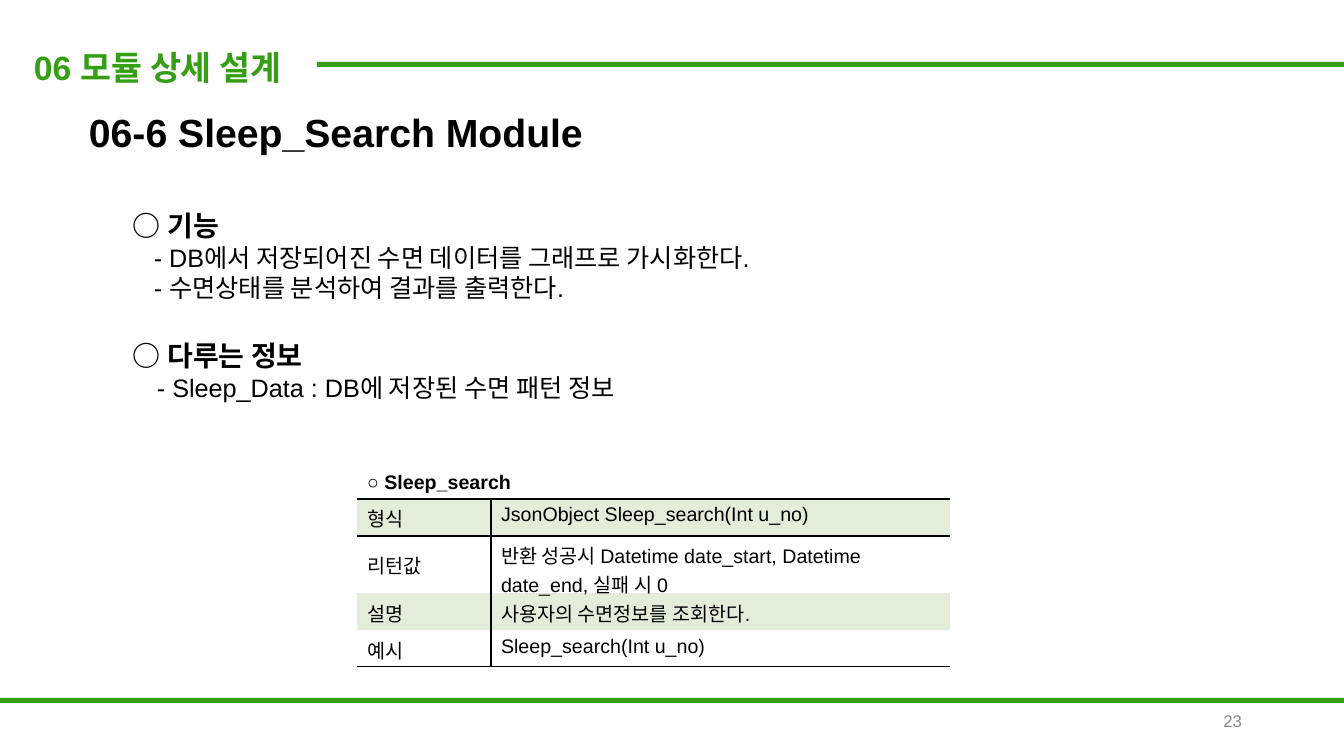
"""Builds the Sleep_Search module slide with its function notes and specification table."""
from lxml.etree import SubElement
from pptx import Presentation
from pptx.dml.color import RGBColor
from pptx.enum.shapes import MSO_SHAPE as Shape
from pptx.enum.text import MSO_ANCHOR as Anchor, PP_ALIGN as Align
from pptx.oxml.ns import qn
from pptx.util import Emu, Pt

PX = 914400 / 100.8
COLORS = {"green": "349F14", "band": "70AD47", "black": "000000", "gray": "888888"}


def px(*lengths):
    return [Emu(round(length * PX)) for length in lengths]


def write(frame, lines):
    """Fill a text frame with (text, size, bold, color, indent) lines."""
    frame.word_wrap = True
    for index, (text, size, bold, color, indent) in enumerate(lines):
        paragraph = frame.add_paragraph() if index else frame.paragraphs[0]
        paragraph.text = text
        paragraph.font.name = "Arial"
        paragraph.font.size = Pt(size)
        paragraph.font.bold = bold
        paragraph.font.color.rgb = RGBColor.from_string(COLORS[color])
        if indent:
            properties = paragraph._p.get_or_add_pPr()
            properties.set("marL", str(px(indent)[0]))
            properties.set("indent", "0")


presentation = Presentation()
presentation.slide_width, presentation.slide_height = px(1344, 756)
slide = presentation.slides.add_slide(presentation.slide_layouts[6])

for left, top, width in [(317, 62, 1028), (0, 698, 1345)]:
    bar = slide.shapes.add_shape(Shape.RECTANGLE, *px(left, top, width, 5))
    bar.shadow.inherit = False
    bar.fill.solid()
    bar.fill.fore_color.rgb = RGBColor.from_string(COLORS["green"])
    bar.line.fill.background()

text_blocks = [
    ((24, 42, 293, 50), [("06 모듈 상세 설계", 24, True, "green", 0)]),
    ((79, 103, 1142, 57), [("06-6 Sleep_Search Module", 28, True, "black", 0)]),
    ((123, 204, 1059, 105), [
        ("○ 기능", 20, True, "black", 0),
        ("- DB에서 저장되어진 수면 데이터를 그래프로 가시화한다.", 18, False, "black", 21),
        ("- 수면상태를 분석하여 결과를 출력한다.", 18, False, "black", 21),
    ]),
    ((123, 334, 1059, 78), [
        ("○ 다루는 정보", 20, True, "black", 0),
        ("- Sleep_Data : DB에 저장된 수면 패턴 정보", 18, False, "black", 24),
    ]),
]
for place, lines in text_blocks:
    write(slide.shapes.add_textbox(*px(*place)).text_frame, lines)

page_number = slide.shapes.add_textbox(*px(950, 701, 302, 40)).text_frame
write(page_number, [("23", 12, False, "gray", 0)])
page_number.vertical_anchor = Anchor.MIDDLE
page_number.paragraphs[0].alignment = Align.RIGHT

rows = [
    ("○ Sleep_search", ""),
    ("형식", "JsonObject Sleep_search(Int u_no)"),
    ("리턴값", "반환 성공시 Datetime date_start, Datetime date_end, 실패 시 0"),
    ("설명", "사용자의 수면정보를 조회한다."),
    ("예시", "Sleep_search(Int u_no)"),
]
row_heights = [37, 37, 57, 37, 36]
column_widths = [134, 459]
ruled_rows = {0, 1, 4}
banded_rows = {1, 3}

table = slide.shapes.add_table(
    len(rows), 2, *px(357, 462, sum(column_widths), sum(row_heights))).table
table.first_row = table.horz_banding = False
for column, width in zip(table.columns, px(*column_widths)):
    column.width = width
for row, height in zip(table.rows, px(*row_heights)):
    row.height = height
table.cell(0, 0).merge(table.cell(0, 1))

for row_index, texts in enumerate(rows):
    for column_index, text in enumerate(texts):
        cell = table.cell(row_index, column_index)
        if text:
            write(cell.text_frame, [(text, 14, row_index == 0, "black", 0)])
        if row_index == 0:
            cell.vertical_anchor = Anchor.BOTTOM
        elif column_index == 0:
            cell.vertical_anchor = Anchor.MIDDLE
        borders = {
            "a:lnL": row_index > 0 and column_index == 1,
            "a:lnR": row_index > 0 and column_index == 0,
            "a:lnT": row_index - 1 in ruled_rows,
            "a:lnB": row_index in ruled_rows,
        }
        cell_properties = cell._tc.get_or_add_tcPr()
        for tag, drawn in borders.items():
            border = SubElement(cell_properties, qn(tag), w=str(Pt(1)))
            if drawn:
                line_fill = SubElement(border, qn("a:solidFill"))
                SubElement(line_fill, qn("a:srgbClr"), val=COLORS["black"])
            else:
                SubElement(border, qn("a:noFill"))
        if row_index in banded_rows:
            cell.fill.solid()
            cell.fill.fore_color.rgb = RGBColor.from_string(COLORS["band"])
            band_color = cell_properties.find(qn("a:solidFill")).find(qn("a:srgbClr"))
            SubElement(band_color, qn("a:alpha"), val="20000")
        else:
            cell.fill.background()

presentation.save("out.pptx")
